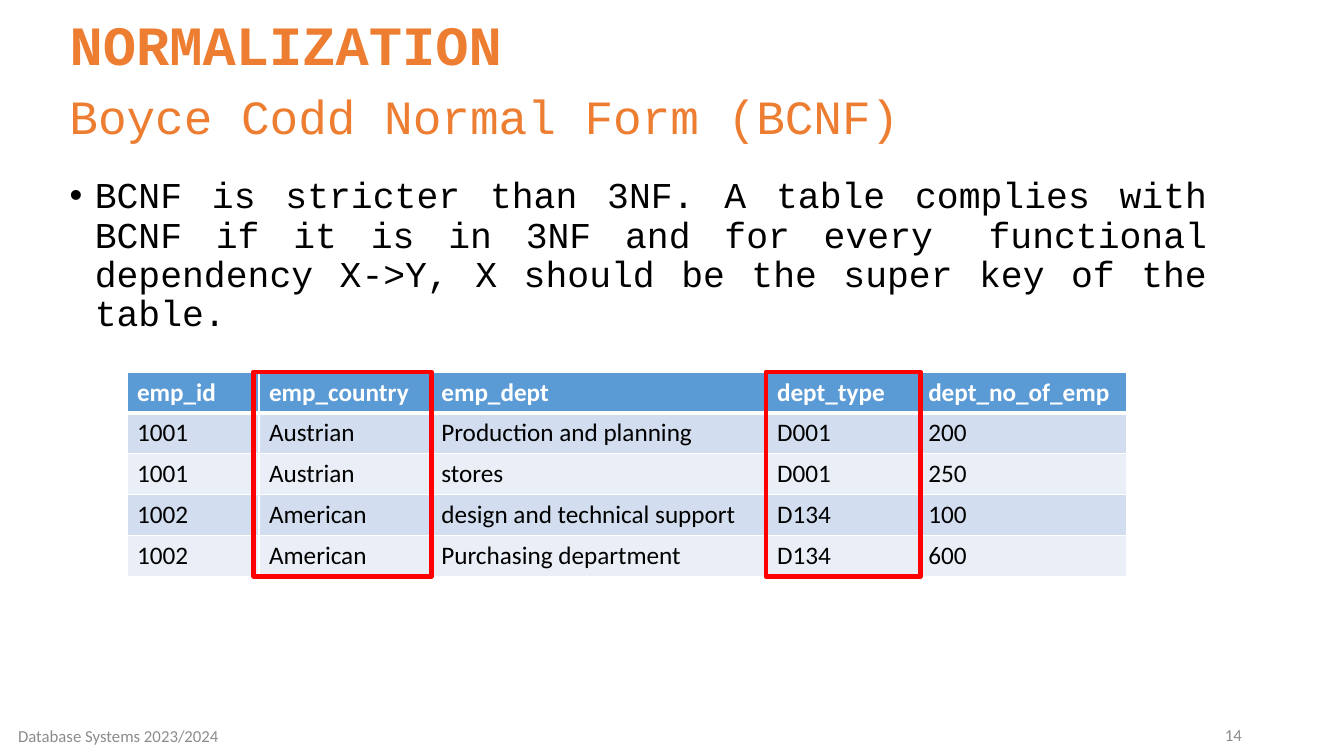
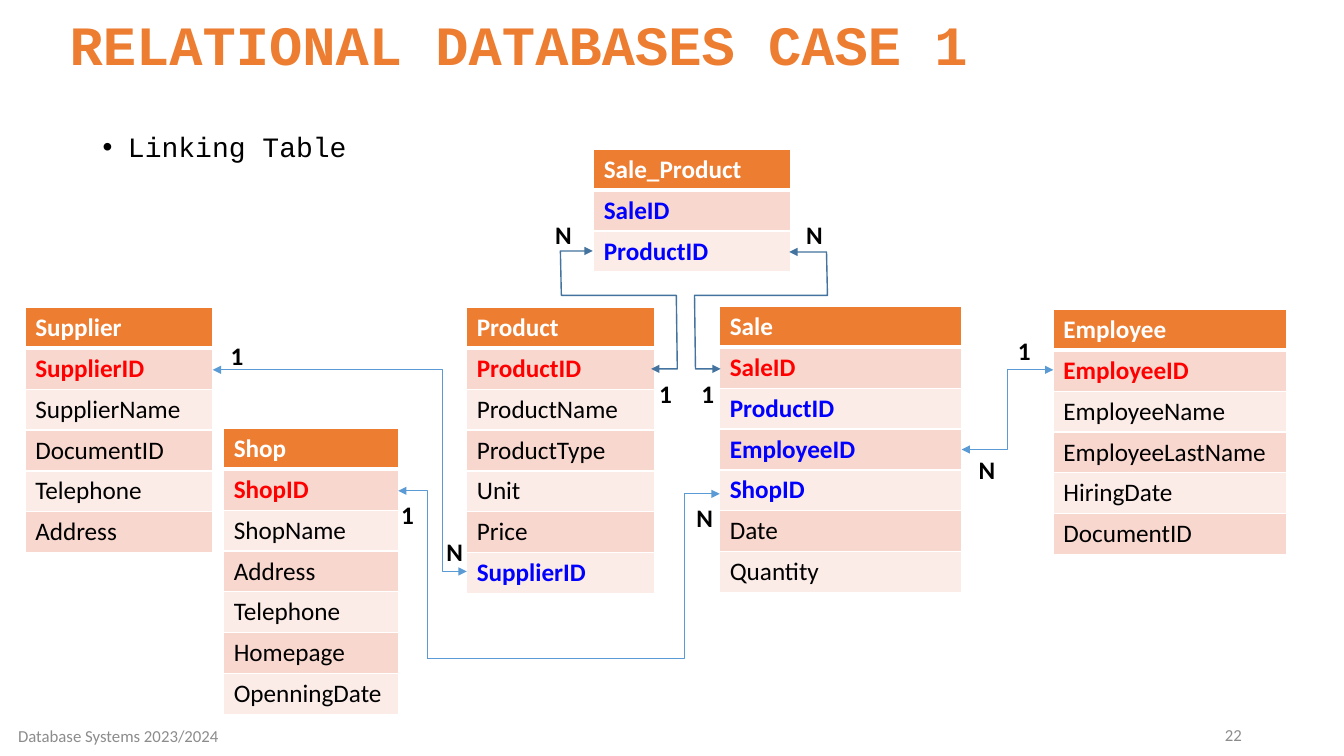
from dataclasses import dataclass

from pptx import Presentation
from pptx.dml.color import RGBColor
from pptx.enum.shapes import MSO_CONNECTOR, MSO_SHAPE
from pptx.enum.text import MSO_ANCHOR, MSO_AUTO_SIZE, PP_ALIGN
from pptx.oxml.ns import qn
from pptx.oxml.xmlchemy import OxmlElement
from pptx.util import Pt

ELBOW, RECT = MSO_CONNECTOR.ELBOW, MSO_SHAPE.RECTANGLE
TOP, MIDDLE = MSO_ANCHOR.TOP, MSO_ANCHOR.MIDDLE
LEFT, CENTER, RIGHT, JUSTIFY = PP_ALIGN.LEFT, PP_ALIGN.CENTER, PP_ALIGN.RIGHT, PP_ALIGN.JUSTIFY

COLORS = {
    "orange": "ED7D31", "orange_dark": "F8D7CE", "orange_light": "FCECE8",
    "blue": "5B9BD5", "blue_dark": "D2DEEF", "blue_light": "EAEFF7",
    "link": "43739E", "primary": "FF0000", "foreign": "0000FF",
    "black": "000000", "white": "FFFFFF", "gray": "8C8C8C",
}
MONO, SANS = "Courier New", "Calibri"
ROW_H = 29.2
TITLE_LEFT, TITLE_W, TITLE_H = 42.5, 843.8, 49.7


@dataclass
class Entity:
    name: str
    left: float
    top: float
    width: float
    fields: tuple
    primary: str = ""
    foreign: tuple = ()


@dataclass
class Link:
    start: tuple
    end: tuple
    bend: float
    head: bool = True
    tail: bool = True


@dataclass
class Label:
    text: str
    left: float
    top: float


def rgb(name: str) -> RGBColor:
    return RGBColor.from_string(COLORS[name])


def box(left: float, top: float, width: float, height: float) -> tuple:
    return Pt(left), Pt(top), Pt(width), Pt(height)


def add_child(parent, tag: str, **attrs):
    child = OxmlElement(tag)
    for key, value in attrs.items():
        child.set(key, str(value))
    parent.append(child)
    return child


# Text
def write(tf, text: str, size: float, color: str, font: str = SANS, bold: bool = False,
          align=LEFT, anchor=TOP, spacing: float = 1):
    tf.text = text
    tf.word_wrap = True
    tf.vertical_anchor = anchor
    p = tf.paragraphs[0]
    p.alignment, p.line_spacing = align, spacing
    f = p.runs[0].font
    f.name, f.size, f.bold = font, Pt(size), bold
    f.color.rgb = rgb(color)
    return p


def add_text(s, area: tuple, text: str, size: float, color: str, **style):
    tf = s.shapes.add_textbox(*box(*area)).text_frame
    write(tf, text, size, color, **style)
    return tf


def place(shape, area: tuple):
    shape.left, shape.top, shape.width, shape.height = box(*area)
    shape.text_frame.auto_size = MSO_AUTO_SIZE.NONE
    return shape.text_frame


def add_slide(prs, title: str, bullet: str, body_area: tuple, size: float, align, number: str):
    s = prs.slides.add_slide(prs.slide_layouts[1])
    tf = place(s.shapes.title, (TITLE_LEFT, 10.8, TITLE_W, TITLE_H))
    write(tf, title, 39.6, "orange", font=MONO, bold=True, anchor=MIDDLE, spacing=0.8)

    p = write(place(s.placeholders[1], body_area), bullet, size, "black",
              font=MONO, align=align, spacing=0.9)
    p.space_before = Pt(10)
    pPr = p._p.get_or_add_pPr()
    pPr.set("marL", str(Pt(18)))
    pPr.set("indent", str(-Pt(18)))
    add_child(pPr, "a:buFont", typeface="Arial")
    add_child(pPr, "a:buChar", char="•")

    add_text(s, (678.2, 510.5, 216, 28.8), number, 12, "gray", align=RIGHT, anchor=MIDDLE)
    add_text(s, (0, 511.2, 169.2, 28.8), "Database Systems 2023/2024", 12, "gray",
             align=CENTER, anchor=MIDDLE)
    return s


# Tables
def set_borders(cell, row: int) -> None:
    tcPr = cell._tc.get_or_add_tcPr()
    widths = {"L": 1, "R": 1, "T": 3 if row == 1 else 1, "B": 3 if row == 0 else 1}
    for side, width in widths.items():
        ln = add_child(tcPr, f"a:ln{side}", w=Pt(width))
        add_child(add_child(ln, "a:solidFill"), "a:srgbClr", val=COLORS["white"])


def add_grid(s, left: float, top: float, widths: list, rows: list, theme: str,
             anchor=TOP, keys: dict | None = None) -> None:
    keys = keys or {}
    area = box(left, top, sum(widths), ROW_H * len(rows))
    table = s.shapes.add_table(len(rows), len(widths), *area).table
    for column, width in zip(table.columns, widths):
        column.width = Pt(width)
    for i, values in enumerate(rows):
        table.rows[i].height = Pt(ROW_H)
        fill = theme if i == 0 else theme + ("_dark" if i % 2 else "_light")
        for j, value in enumerate(values):
            cell = table.cell(i, j)
            set_borders(cell, i)
            cell.fill.solid()
            cell.fill.fore_color.rgb = rgb(fill)
            color = "white" if i == 0 else keys.get(value, "black")
            write(cell.text_frame, value, 18, color, bold=color != "black")
            cell.vertical_anchor = anchor


def add_entity(s, e: Entity) -> None:
    keys = {e.primary: "primary"} | {name: "foreign" for name in e.foreign}
    rows = [[name] for name in (e.name, *e.fields)]
    add_grid(s, e.left, e.top, [e.width], rows, "orange", keys=keys)


# Links
def style_line(shape, color: str, width: float, head: bool = True, tail: bool = True) -> None:
    shape.line.color.rgb = rgb(color)
    shape.line.width = Pt(width)
    ln = shape.element.spPr.find(qn("a:ln"))
    for shown, tag in ((head, "a:headEnd"), (tail, "a:tailEnd")):
        if shown:
            add_child(ln, tag, type="triangle")


def add_link(s, link: Link) -> None:
    ends = [Pt(v) for v in (*link.start, *link.end)]
    line = s.shapes.add_connector(ELBOW, *ends)
    style_line(line, "blue", 0.5, link.head, link.tail)
    spPr = line.element.spPr
    guides = spPr.find(qn("a:prstGeom")).get_or_add_avLst()
    add_child(guides, "a:gd", name="adj1", fmla=f"val {round(link.bend * 100000)}")
    add_child(spPr, "a:effectLst")


def add_route(s, points: list) -> None:
    first, *rest = [(Pt(x), Pt(y)) for x, y in points]
    builder = s.shapes.build_freeform(*first)
    builder.add_line_segments(rest, close=False)
    route = builder.convert_to_shape()
    route.fill.background()
    route.shadow.inherit = False
    style_line(route, "link", 1)


prs = Presentation()
prs.slide_width, prs.slide_height = Pt(960), Pt(540)

# Slide 1: BCNF
s = add_slide(
    prs, "NORMALIZATION",
    "BCNF is stricter than 3NF. A table complies with BCNF if it is in 3NF and for every\u00a0 "
    "functional dependency X->Y, X should be the super key of the table.",
    (TITLE_LEFT, 123.1, 828, 70.6), 26, JUSTIFY, "14")
add_text(s, (TITLE_LEFT, 59.8, TITLE_W, TITLE_H), "Boyce Codd Normal Form (BCNF)", 34.1, "orange",
         font=MONO, anchor=MIDDLE, spacing=0.9)

employees = [
    ["emp_id", "emp_country", "emp_dept", "dept_type", "dept_no_of_emp"],
    ["1001", "Austrian", "Production and planning", "D001", "200"],
    ["1001", "Austrian", "stores", "D001", "250"],
    ["1002", "American", "design and technical support", "D134", "100"],
    ["1002", "American", "Purchasing department", "D134", "600"],
]
TABLE_TOP = 265.7
add_grid(s, 90.7, TABLE_TOP, [94.3, 123.1, 239.8, 108, 149], employees, "blue", anchor=MIDDLE)

# Highlighted columns
for left, width in ((181.4, 126.7), (547.2, 110.2)):
    frame = s.shapes.add_shape(RECT, *box(left, TABLE_TOP, width, ROW_H * len(employees)))
    frame.fill.background()
    frame.shadow.inherit = False
    style_line(frame, "primary", 3.5, head=False, tail=False)

# Slide 2: entity diagram
s = add_slide(prs, "RELATIONAL DATABASES CASE 1", "Linking Table",
              (66.2, 91.4, 828, 42.5), 20, LEFT, "22")

ENTITIES = [
    Entity("Shop", 159.8, 306, 124.6,
           ("ShopID", "ShopName", "Address", "Telephone", "Homepage", "OpenningDate"), "ShopID"),
    Entity("Supplier", 18, 219.6, 133.9,
           ("SupplierID", "SupplierName", "DocumentID", "Telephone", "Address"), "SupplierID"),
    Entity("Product", 333.4, 219.6, 133.9,
           ("ProductID", "ProductName", "ProductType", "Unit", "Price", "SupplierID"),
           "ProductID", ("SupplierID",)),
    Entity("Employee", 752.4, 221, 166.3,
           ("EmployeeID", "EmployeeName", "EmployeeLastName", "HiringDate", "DocumentID"),
           "EmployeeID"),
    Entity("Sale", 514.1, 218.9, 172.8,
           ("SaleID", "ProductID", "EmployeeID", "ShopID", "Date", "Quantity"),
           "SaleID", ("ProductID", "EmployeeID", "ShopID")),
    Entity("Sale_Product", 424.1, 106.6, 140.4, ("SaleID", "ProductID"),
           foreign=("SaleID", "ProductID")),
]
for entity in ENTITIES:
    add_entity(s, entity)

# One-to-many links; the shop link is joined from two elbows
LINKS = [
    Link((151.9, 264.2), (333.4, 408.2), 0.905),
    Link((686.9, 321.1), (752.4, 264.2), 0.5),
    Link((284.4, 350.6), (305.3, 470.2), 1, tail=False),
    Link((305.3, 470.2), (514.1, 352.8), 0.878, head=False),
]
for link in LINKS:
    add_link(s, link)

# Links to the linking table
add_route(s, [(465.1, 263.5), (483.8, 263.5), (483.1, 211), (401, 211), (400.3, 179.3),
              (423.4, 179.3)])
add_route(s, [(514.8, 263.5), (496.8, 263.5), (496.1, 211), (591.1, 211), (590.4, 180),
              (563.8, 180)])

# Cardinalities
LABELS = [
    Label("1", 157.7, 239.8), Label("N", 311.8, 379.4),
    Label("1", 720, 236.2), Label("N", 691.9, 321.1),
    Label("1", 279.4, 352.8), Label("N", 490.3, 355),
    Label("N", 389.5, 153.4), Label("N", 568.8, 153.4),
    Label("1", 463.7, 266.4), Label("1", 493.9, 266.4),
]
for label in LABELS:
    tf = add_text(s, (label.left, label.top, 28.1, 28.8), label.text, 18, "black", bold=True)
    tf.auto_size = MSO_AUTO_SIZE.SHAPE_TO_FIT_TEXT

prs.save("out.pptx")
